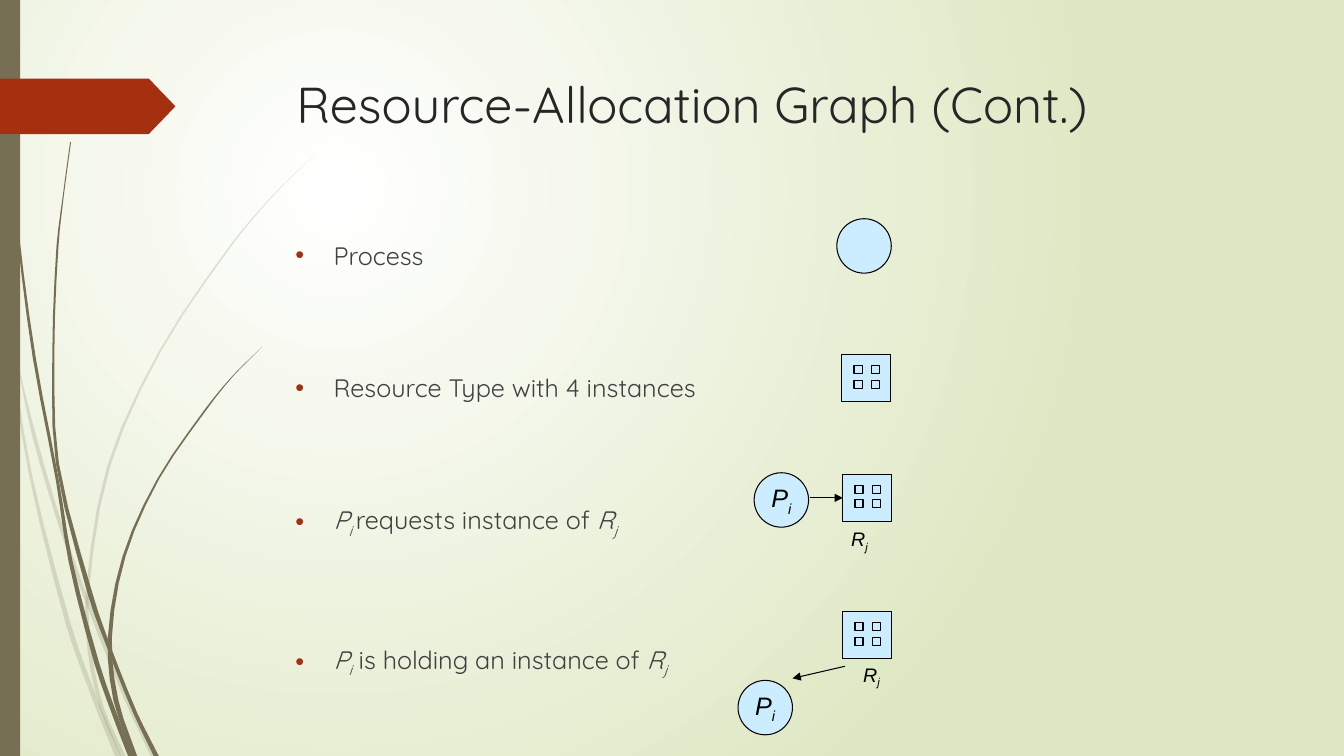
from pptx import Presentation
from pptx.dml.color import RGBColor
from pptx.enum.shapes import MSO_CONNECTOR, MSO_SHAPE
from pptx.enum.text import MSO_ANCHOR, MSO_AUTO_SIZE, PP_ALIGN
from pptx.oxml.ns import qn
from pptx.oxml.xmlchemy import OxmlElement
from pptx.util import Inches, Pt

RECT, OVAL, TAG = MSO_SHAPE.RECTANGLE, MSO_SHAPE.OVAL, MSO_SHAPE.PENTAGON
STRAIGHT = MSO_CONNECTOR.STRAIGHT
TOP, MIDDLE = MSO_ANCHOR.TOP, MSO_ANCHOR.MIDDLE
LEFT, CENTER = PP_ALIGN.LEFT, PP_ALIGN.CENTER
NO_FIT = MSO_AUTO_SIZE.NONE

COLORS = {"white": "FFFFFF", "lime": "DFE8C4", "olive": "766F54", "red": "A53010",
          "title": "262626", "body": "404040", "node": "CCECFF", "black": "000000"}
RGB = {name: RGBColor.from_string(value) for name, value in COLORS.items()}


def add_shape(kind, x, y, w, h, fill, outlined=True):
    sp = s.shapes.add_shape(kind, Inches(x), Inches(y), Inches(w), Inches(h))
    sp.shadow.inherit = False
    sp.fill.solid()
    sp.fill.fore_color.rgb = RGB[fill]
    if outlined:
        sp.line.color.rgb = RGB["black"]
        sp.line.width = Pt(0.75)
    else:
        sp.line.fill.background()
    return sp


def add_runs(p, runs, font, size, color):
    """Each run is (text, style); style holds i for italic, s for subscript."""
    for text, style in runs:
        r = p.add_run()
        r.text = text
        r.font.name = font
        r.font.size = Pt(size)
        r.font.color.rgb = RGB[color]
        r.font.italic = "i" in style
        if "s" in style:
            r.font._element.set("baseline", "-25000")


prs = Presentation()
prs.slide_width, prs.slide_height = Inches(13.33), Inches(7.5)
s = prs.slides.add_slide(prs.slide_layouts[1])

# Background: radial gradient centred in the upper left
fill = s.background.fill
fill.gradient()
for stop, name, position in zip(fill.gradient_stops, ("white", "lime"), (0, 1)):
    stop.color.rgb = RGB[name]
    stop.position = position
grad = s.element.find(".//" + qn("a:gradFill"))
grad.remove(grad.find(qn("a:lin")))
radial = OxmlElement("a:path")
radial.set("path", "circle")
center = OxmlElement("a:fillToRect")
for side, value in zip("ltrb", (50, 50, 100, 100)):
    center.set(side, str(value * 1000))
radial.append(center)
grad.append(radial)

# Grass blades: opacity in percent, then (x, y, width) from tip to root
BLADES = [
    (20, [(0, 2.9, 0.01), (0.1, 3.45, 0.02), (0.3, 4.7, 0.03), (0.68, 6.2, 0.05),
          (0.92, 6.88, 0.05), (1.17, 7.5, 0.06)]),
    (20, [(0.14, 3.45, 0), (0.34, 4.33, 0.04), (0.6, 5.21, 0.04), (0.87, 5.98, 0.04),
          (1.25, 6.93, 0.04), (1.52, 7.5, 0.05)]),
    (20, [(3.12, 1.53, 0), (2.68, 1.97, 0.01), (2.28, 2.45, 0.02), (1.59, 3.48, 0.02),
          (1.08, 4.62, 0.03), (0.87, 5.84, 0.03), (0.89, 6.46, 0.04),
          (1.01, 7.02, 0.04), (1.22, 7.5, 0.05)]),
    (100, [(0.04, 0, 0.01), (0.08, 1.1, 0.01), (0.18, 2.33, 0.02), (0.34, 3.55, 0.03),
           (0.57, 4.77, 0.03), (0.7, 5.57, 0.04), (0.96, 6.58, 0.05),
           (1.16, 7.15, 0.05), (1.3, 7.5, 0.06)]),
    (100, [(0.7, 1.41, 0.01), (0.63, 1.93, 0.01), (0.57, 2.45, 0.02), (0.53, 3.49, 0.02),
           (0.57, 4.6, 0.03), (0.9, 5.91, 0.05), (1.08, 6.42, 0.04),
           (1.34, 7.07, 0.04), (1.55, 7.5, 0.05)]),
    (100, [(2.6, 3.44, 0), (2.31, 3.73, 0.01), (2.05, 4.05, 0.02), (1.57, 4.75, 0.02),
           (1.23, 5.52, 0.03), (1.09, 6.32, 0.04), (1.15, 6.95, 0.05),
           (1.34, 7.5, 0.04)]),
]
STEPS = 3
for opacity, knots in BLADES:
    # Slope at each knot, from its neighbours
    slopes = []
    for i in range(len(knots)):
        a, b = knots[max(i - 1, 0)], knots[min(i + 1, len(knots) - 1)]
        slopes.append((b[0] - a[0]) / (b[1] - a[1]))
    right, left = [], []
    for (x0, y0, w0), (x1, y1, w1), m0, m1 in zip(knots, knots[1:], slopes, slopes[1:]):
        h = y1 - y0
        for k in range(1 if right else 0, STEPS + 1):
            t = k / STEPS
            ease = t * t * (3 - 2 * t)
            x = x0 + (x1 - x0) * ease + h * t * (1 - t) * (m0 * (1 - t) - m1 * t)
            half = (w0 + (w1 - w0) * t) / 2
            right.append((Inches(x + half), Inches(y0 + h * t)))
            left.append((Inches(x - half), Inches(y0 + h * t)))
    outline = right + left[::-1]
    builder = s.shapes.build_freeform(*outline[0])
    builder.add_line_segments(outline[1:], close=True)
    blade = builder.convert_to_shape()
    blade.shadow.inherit = False
    blade.line.fill.background()
    blade.fill.solid()
    blade.fill.fore_color.rgb = RGB["olive"]
    if opacity < 100:
        alpha = OxmlElement("a:alpha")
        alpha.set("val", str(opacity * 1000))
        blade._element.spPr.find(".//" + qn("a:srgbClr")).append(alpha)

# Left strip and red tag
add_shape(RECT, 0, 0, 0.2, 7.5, "olive", outlined=False)
tag = add_shape(TAG, 0, 0.78, 1.74, 0.55, "red", outlined=False)
tag.adjustments[0] = 0.48

# Title
title = s.shapes.title
title.left, title.top, title.width, title.height = map(Inches, (2.84, 0.68, 9.75, 1.4))
tf = title.text_frame
tf.auto_size, tf.vertical_anchor = NO_FIT, TOP
p = tf.paragraphs[0]
p.alignment = LEFT
add_runs(p, [("Resource-Allocation Graph (Cont.)", "")], "Quicksand", 36, "title")

# Bulleted list: space before, then runs
ITEMS = [
    (0, [("Process", "")]),
    (73, [("Resource Type with 4 instances", "")]),
    (73, [("P", "i"), ("i ", "is"), ("requests instance of ", ""), ("R", "i"), ("j", "is")]),
    (75, [("P", "i"), ("i", "is"), (" is holding an instance of ", ""), ("R", "i"), ("j", "is")]),
]
body = s.placeholders[1]
body.left, body.top, body.width, body.height = map(Inches, (2.83, 2.33, 9.75, 4.48))
tf = body.text_frame
tf.auto_size, tf.vertical_anchor = NO_FIT, TOP
for n, (gap, runs) in enumerate(ITEMS):
    p = tf.add_paragraph() if n else tf.paragraphs[0]
    pPr = p._p.get_or_add_pPr()
    pPr.set("marL", str(Inches(0.38)))
    pPr.set("indent", str(Inches(-0.38)))
    bullet_color = OxmlElement("a:buClr")
    rgb = OxmlElement("a:srgbClr")
    rgb.set("val", COLORS["red"])
    bullet_color.append(rgb)
    bullet_font = OxmlElement("a:buFont")
    bullet_font.set("typeface", "Arial")
    bullet = OxmlElement("a:buChar")
    bullet.set("char", "•")
    pPr.extend([bullet_color, bullet_font, bullet])
    p.space_before = Pt(gap)
    add_runs(p, runs, "Quicksand", 18, "body")

# Resource types: a square with a 2 x 2 grid of instances
for x, y in [(8.35, 3.52), (8.36, 4.71), (8.36, 6.07)]:
    add_shape(RECT, x, y, 0.48, 0.46, "node")
    for row in range(2):
        for col in range(2):
            add_shape(RECT, x + 0.12 + 0.17 * col, y + 0.11 + 0.14 * row, 0.08, 0.08, "node")

# Processes, with their names, and the resource names
add_shape(OVAL, 8.3, 2.17, 0.54, 0.54, "node")
labels = []
for x, y in [(7.48, 4.69), (7.32, 6.75)]:
    labels.append((add_shape(OVAL, x, y, 0.54, 0.54, "node"), "P", "i", 18))
for x, y in [(8.34, 5.2), (8.46, 6.54)]:
    box = s.shapes.add_textbox(Inches(x), Inches(y), Inches(0.37), Inches(0.33))
    labels.append((box, "R", "j", 14))
for sp, letter, index, size in labels:
    tf = sp.text_frame
    tf.word_wrap, tf.vertical_anchor = False, MIDDLE
    p = tf.paragraphs[0]
    p.alignment = CENTER
    add_runs(p, [(letter, "i"), (index, "is")], "Arial", size, "black")

# Request and assignment arrows
for ends in [(8.03, 4.94, 8.36, 4.94), (8.38, 6.61, 7.86, 6.73)]:
    arrow = s.shapes.add_connector(STRAIGHT, *map(Inches, ends))
    arrow.line.color.rgb = RGB["black"]
    arrow.line.width = Pt(0.75)
    head = OxmlElement("a:tailEnd")
    head.set("type", "triangle")
    arrow.line._get_or_add_ln().append(head)
    arrow._element.spPr.append(OxmlElement("a:effectLst"))

prs.save("out.pptx")
